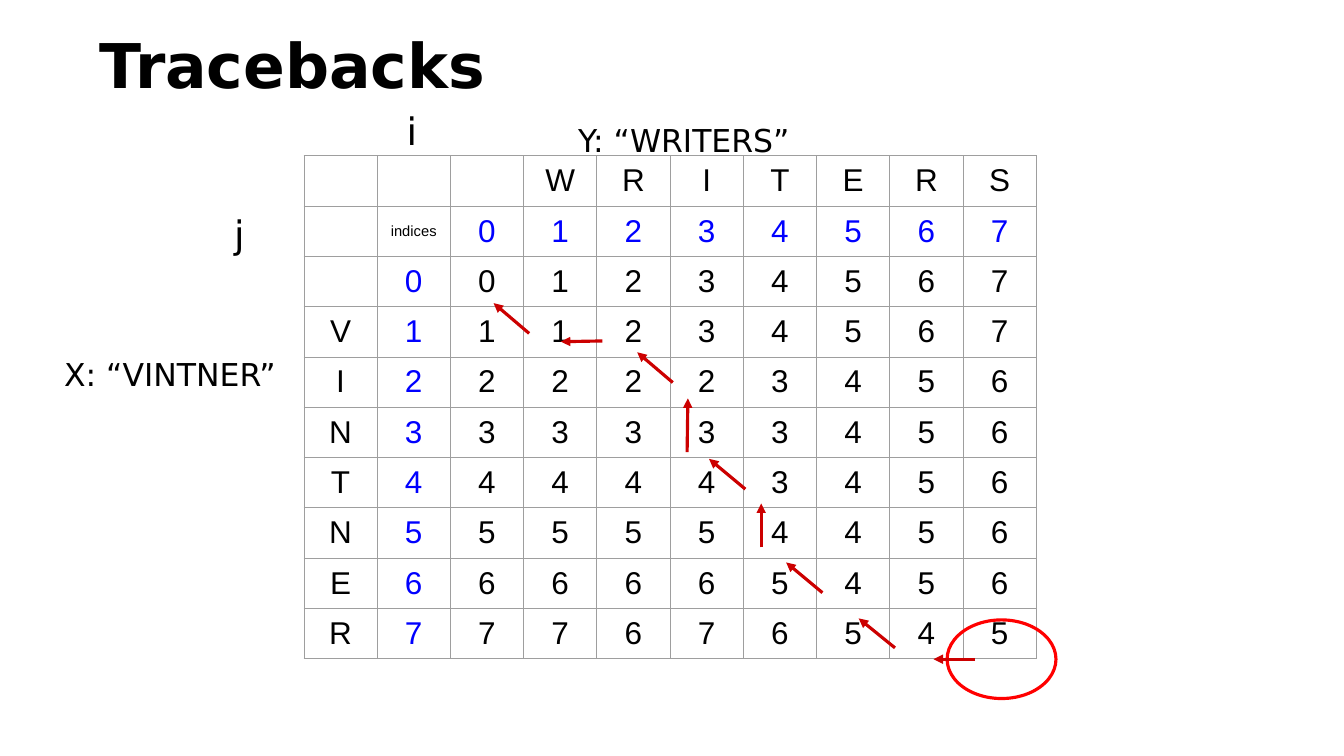
from dataclasses import dataclass
from typing import NamedTuple

import pptx
import pptx.dml.color
import pptx.enum.shapes
import pptx.enum.text
import pptx.oxml
import pptx.oxml.ns
import pptx.util

PX = 9144  # EMU in one px: 100 px to the inch
INSET = 10
ALIGN = pptx.enum.text.PP_ALIGN
ANCHOR = pptx.enum.text.MSO_ANCHOR


@dataclass(frozen=True)
class Theme:
    ink: str = "000000"
    index: str = "0000FF"
    arrow: str = "CC0000"
    ring: str = "FF0000"
    grid: str = "9E9E9E"
    heading_font: str = "DejaVu Sans"
    table_font: str = "Arial"
    title_size: float = 58.7
    letter_size: int = 36
    body_size: int = 30
    note_size: int = 14
    stroke: int = 3
    grid_stroke: float = 0.75


THEME = Theme()


class Box(NamedTuple):
    left: int
    top: int
    width: int
    height: int


class Label(NamedTuple):
    text: str
    box: Box
    size: int


class Arrow(NamedTuple):
    x1: int
    y1: int
    x2: int
    y2: int


TABLE_BOX = Box(402, 206, 969, 700)
ROW_HEIGHT = 42
ROWS = [
    ["", "", "", *"WRITERS"],
    ["", "indices", *"01234567"],
    ["", "0", *"01234567"],
    [*"V111234567"],
    [*"I222223456"],
    [*"N333333456"],
    [*"T444443456"],
    [*"N555554456"],
    [*"E666665456"],
    [*"R777676545"],
]
RING = Box(1253, 820, 144, 104)
ARROWS = [
    Arrow(986, 647, 938, 607),
    Arrow(890, 506, 843, 466),
    Arrow(797, 451, 742, 452),
    Arrow(700, 441, 653, 401),
    Arrow(909, 598, 910, 527),
    Arrow(1290, 872, 1235, 872),
    Arrow(1184, 857, 1136, 818),
    Arrow(1088, 784, 1040, 744),
    Arrow(1007, 724, 1007, 666),
]
LABELS = [
    Label("Y: “WRITERS”", Box(755, 150, 336, 44), THEME.body_size),
    Label("X: “VINTNER”", Box(75, 459, 313, 44), THEME.body_size),
    Label("j", Box(300, 269, 57, 72), THEME.letter_size),
    Label("i", Box(528, 133, 33, 44), THEME.letter_size),
]


def emu(*lengths: int) -> list[pptx.util.Emu]:
    return [pptx.util.Emu(length * PX) for length in lengths]


def rgb(colour: str) -> pptx.dml.color.RGBColor:
    return pptx.dml.color.RGBColor.from_string(colour)


def apply(target, values: dict) -> None:
    for name, value in values.items():
        setattr(target, name, value)


def margins(x: int, y: int) -> dict:
    return {"margin_left": x * PX, "margin_right": x * PX,
            "margin_top": y * PX, "margin_bottom": y * PX}


def write(paragraph, text: str, font: str, size: float,
          colour: str = THEME.ink, bold: bool = False) -> None:
    run = paragraph.add_run()
    run.text = text
    apply(run.font, {"name": font, "size": pptx.util.Pt(size), "bold": bold})
    run.font.color.rgb = rgb(colour)


def add_title(slide, text: str) -> None:
    title = slide.shapes.title
    apply(title, dict(zip(Box._fields, emu(122, 36, 1533, 109))))
    frame = title.text_frame
    apply(frame, {"vertical_anchor": ANCHOR.MIDDLE, "word_wrap": True,
                  "auto_size": pptx.enum.text.MSO_AUTO_SIZE.NONE, **margins(10, 5)})
    paragraph = frame.paragraphs[0]
    apply(paragraph, {"alignment": ALIGN.LEFT, "line_spacing": 0.9})
    write(paragraph, text, THEME.heading_font, THEME.title_size, bold=True)


def add_borders(cell) -> None:
    properties = cell._tc.get_or_add_tcPr()
    width = pptx.util.Pt(THEME.grid_stroke)
    for position, side in enumerate(("lnL", "lnR", "lnT", "lnB")):
        border = pptx.oxml.parse_xml(
            f'<a:{side} {pptx.oxml.ns.nsdecls("a")} w="{width}"><a:solidFill>'
            f'<a:srgbClr val="{THEME.grid}"/></a:solidFill></a:{side}>')
        properties.insert(position, border)


def add_distance_table(slide) -> None:
    shape = slide.shapes.add_table(len(ROWS), len(ROWS[0]), *emu(*TABLE_BOX))
    table = shape.table
    apply(table, {"first_row": False, "horz_banding": False})
    for row in table.rows:
        row.height = ROW_HEIGHT * PX
    shape.height = TABLE_BOX.height * PX
    for row, texts in enumerate(ROWS):
        for column, text in enumerate(texts):
            cell = table.cell(row, column)
            cell.fill.background()
            apply(cell, margins(INSET, INSET))
            add_borders(cell)
            if not text:
                continue
            is_note = len(text) > 1
            is_index = text.isdigit() and (row == 1 or column == 1)
            cell.vertical_anchor = ANCHOR.MIDDLE if is_note else ANCHOR.TOP
            paragraph = cell.text_frame.paragraphs[0]
            paragraph.alignment = ALIGN.CENTER
            write(paragraph, text, THEME.table_font,
                  THEME.note_size if is_note else THEME.body_size,
                  THEME.index if is_index else THEME.ink)


def set_stroke(line, colour: str) -> None:
    line.color.rgb = rgb(colour)
    line.width = pptx.util.Pt(THEME.stroke)


def add_ring(slide, box: Box) -> None:
    ring = slide.shapes.add_shape(pptx.enum.shapes.MSO_SHAPE.OVAL, *emu(*box))
    ring.shadow.inherit = False
    ring.fill.background()
    set_stroke(ring.line, THEME.ring)


def add_arrow(slide, arrow: Arrow) -> None:
    connector = slide.shapes.add_connector(
        pptx.enum.shapes.MSO_CONNECTOR.STRAIGHT, *emu(*arrow))
    set_stroke(connector.line, THEME.arrow)
    namespace = pptx.oxml.ns.nsdecls("a")
    connector.line._get_or_add_ln().append(
        pptx.oxml.parse_xml(f'<a:tailEnd {namespace} type="triangle"/>'))
    connector._element.spPr.append(pptx.oxml.parse_xml(f"<a:effectLst {namespace}/>"))


def add_label(slide, label: Label) -> None:
    frame = slide.shapes.add_textbox(*emu(*label.box)).text_frame
    apply(frame, {"word_wrap": True, "vertical_anchor": ANCHOR.TOP,
                  **margins(INSET, INSET)})
    write(frame.paragraphs[0], label.text, THEME.heading_font, label.size)


def main() -> None:
    presentation = pptx.Presentation()
    presentation.slide_width, presentation.slide_height = emu(1778, 1000)
    slide = presentation.slides.add_slide(presentation.slide_layouts[5])
    add_title(slide, "Tracebacks")
    add_distance_table(slide)
    add_ring(slide, RING)
    for arrow in ARROWS:
        add_arrow(slide, arrow)
    for label in LABELS:
        add_label(slide, label)
    presentation.save("out.pptx")


if __name__ == "__main__":
    main()
